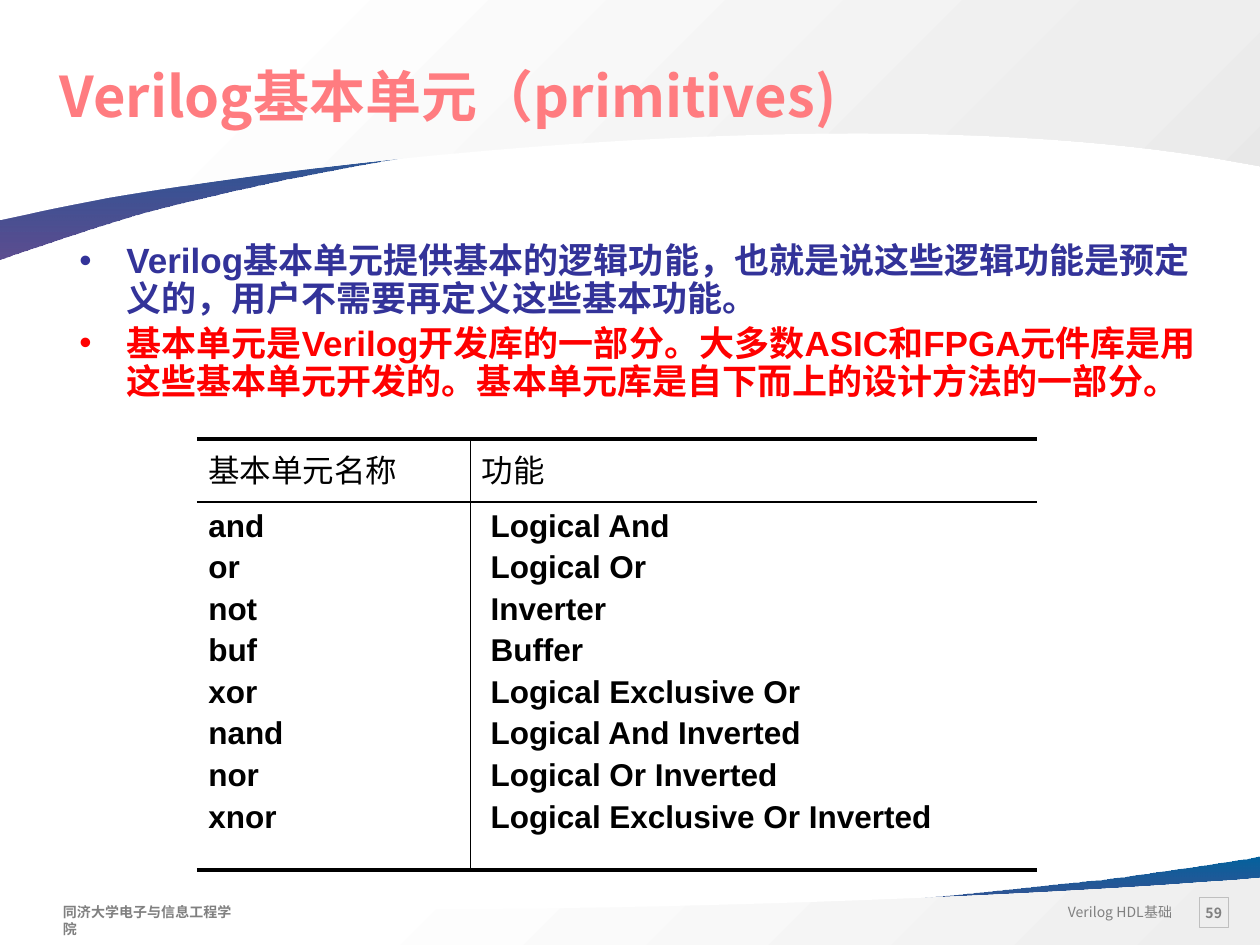
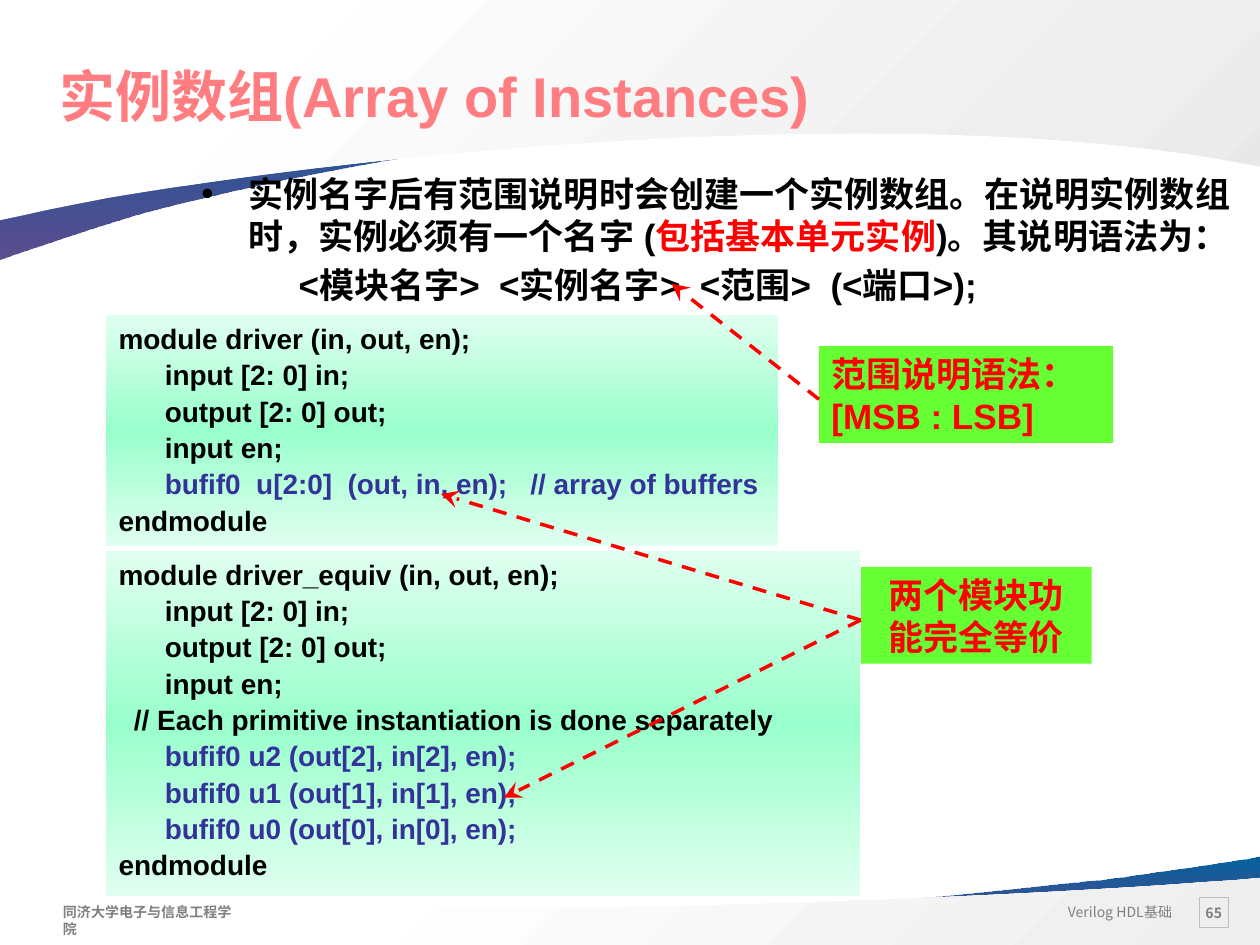
from lxml import etree
from pptx import Presentation, util as u
from pptx.dml.color import RGBColor
from pptx.enum import dml, shapes, text
from pptx.oxml import parse_xml
from pptx.oxml.ns import qn

BLACK = RGBColor(0, 0, 0)
RED = RGBColor(0xFF, 0, 0)
INDIGO = RGBColor(0x33, 0x33, 0x99)
CORAL = RGBColor(0xFF, 0x7C, 0x80)
GREY = RGBColor(0x80, 0x80, 0x80)
FRAME = RGBColor(0xBF, 0xBF, 0xBF)
LIME = RGBColor(0x66, 0xFF, 0x33)
BLUE = RGBColor(0x04, 0x61, 0x9D)
PURPLE = RGBColor(0x34, 0x22, 0x75)
WHITE = RGBColor(0xFF, 0xFF, 0xFF)
PALE = RGBColor(0xEE, 0xEE, 0xEE)
PALER = RGBColor(0xE8, 0xE8, 0xE8)
MINT = RGBColor(0x99, 0xFF, 0xCC)
MIST = RGBColor(0xE0, 0xFF, 0xF0)

NOTO, ARIAL, TIMES = "Noto Sans CJK SC", "Arial", "Times New Roman"
INSET = (0.25, 0.13, 0.25, 0.13)

SWOOSH = ((0, BLUE, 100), (100, PURPLE, 80)), 90
CODE_FILL = ((0, MIST, 100), (50, MINT, 100), (100, MIST, 100)), 90
BANDS = [
    ([(25.4, 17.27), (25.4, 18.92), (0, 18.92), (0, 18.24), (0.03, 18.24)],
     [((5.74, 19.08), (15.62, 18.47), (21.31, 17.83)),
      ((22.45, 17.73), (23.75, 17.53), (25.12, 17.32))], SWOOSH),
    ([(25.4, 17.7), (25.4, 19.05), (0, 19.05), (0, 18.08), (0.84, 18.16)],
     [((7.47, 18.54), (17.35, 18.24), (23.22, 17.86)),
      ((23.72, 17.83), (24.28, 17.78), (24.84, 17.75))],
     (((26, WHITE, 100), (100, PALE, 100)), 45)),
    ([(0, 5.23), (0, 1.68), (25.4, 1.68), (25.4, 3.15), (25.37, 3.12)],
     [((19.66, 1.35), (9.78, 2.62), (4.09, 3.99)),
      ((2.95, 4.24), (1.65, 4.65), (0.28, 5.13))], SWOOSH),
    ([(0, 4.44), (0, 0), (25.4, 0), (25.4, 3.35), (24.56, 3.2)],
     [((17.93, 2.08), (8.05, 3), (2.18, 3.99)),
      ((1.68, 4.09), (1.12, 4.19), (0.56, 4.32))],
     (((17, WHITE, 100), (81, PALE, 100), (100, PALER, 100)), 45)),
]
COURSE = "Verilog HDL基础"
SCHOOL = "同济大学电子与信息工程学院"

PRIMITIVE_NOTES = [
    [("Verilog基本单元提供基本的逻辑功能，也就是说这些逻辑功能是预定义的，用户不需要再定义这些基本功能。", INDIGO)],
    [("基本单元是Verilog开发库的一部分。大多数ASIC和FPGA元件库是用这些基本单元开发的。"
      "基本单元库是自下而上的设计方法的一部分。", RED)],
]
HEADINGS = ["基本单元名称", "功能"]
PRIMITIVES = {
    "and": "Logical And", "or": "Logical Or", "not": "Inverter", "buf": "Buffer",
    "xor": "Logical Exclusive Or", "nand": "Logical And Inverted",
    "nor": "Logical Or Inverted", "xnor": "Logical Exclusive Or Inverted",
}

ARRAY_NOTE = [("实例名字后有范围说明时会创建一个实例数组。在说明实例数组时，实例必须有一个名字 (", BLACK),
              ("包括基本单元实例", RED), (")。其说明语法为：", BLACK)]
SYNTAX = [("<模块名字>  <实例名字>  <范围>  (<端口>);", BLACK)]
PORTS = ["      input [2: 0] in;", "      output [2: 0] out;", "      input en;"]
MODULES = [
    ((2.14, 6.35, 13.54, 4.66),
     ["module driver (in, out, en);", *PORTS,
      "      bufif0  u[2:0]  (out, in, en);   // array of buffers", "endmodule"]),
    ((2.14, 11.1, 15.19, 6.96),
     ["module driver_equiv (in, out, en);", *PORTS,
      "  // Each primitive instantiation is done separately",
      *(f"      bufif0 u{i} (out[{i}], in[{i}], en);" for i in (2, 1, 0)), "endmodule"]),
]
CALLOUTS = [
    ((17.36, 11.43, 4.65, 1.95), ["两个模块功", "能完全等价"], text.PP_ALIGN.CENTER),
    ((16.51, 6.98, 5.93, 1.95), ["范围说明语法：", "[MSB : LSB]"], text.PP_ALIGN.LEFT),
]
ARROWS = [((16.51, 8.05), (13.54, 5.72)), ((17.35, 12.5), (8.89, 9.96)),
          ((17.35, 12.5), (10.16, 16.08))]


def cm(values):
    return [u.Cm(v) for v in values]


def gradient(shape, stops, angle):
    shape.fill.background()
    marks = "".join(
        f'<a:gs pos="{pos * 1000}"><a:srgbClr val="{color}"><a:alpha val="{alpha * 1000}"/>'
        "</a:srgbClr></a:gs>" for pos, color, alpha in stops)
    props = shape._element.spPr
    props.replace(props.find(qn("a:noFill")), parse_xml(
        '<a:gradFill xmlns:a="http://schemas.openxmlformats.org/drawingml/2006/main">'
        f'<a:gsLst>{marks}</a:gsLst><a:lin ang="{angle * 60000}" scaled="0"/></a:gradFill>'))


def bend_last_segments(shape, curves):
    segments = list(shape._element.spPr.iter(qn("a:lnTo")))[-len(curves):]
    for segment, points in zip(segments, curves):
        bezier = etree.Element(qn("a:cubicBezTo"))
        for x, y in points:
            etree.SubElement(bezier, qn("a:pt"), x=str(u.Cm(x) - shape.left),
                             y=str(u.Cm(y) - shape.top))
        segment.getparent().replace(segment, bezier)


def add_band(slide, corners, curves, fill):
    points = [cm(point) for point in corners + [curve[-1] for curve in curves]]
    builder = slide.shapes.build_freeform(*points[0], scale=1.0)
    builder.add_line_segments(points[1:], close=True)
    band = builder.convert_to_shape()
    bend_last_segments(band, curves)
    band.shadow.inherit = False
    band.line.fill.background()
    gradient(band, *fill)


def add_box(slide, place):
    box = slide.shapes.add_shape(shapes.MSO_SHAPE.RECTANGLE, *cm(place))
    box.shadow.inherit = False
    box.fill.background()
    box.line.fill.background()
    return box


def write(frame, lines, size, font=ARIAL, bold=True, align=text.PP_ALIGN.LEFT, before=0,
          spacing=None, inset=INSET, wrap=True, anchor=text.MSO_ANCHOR.TOP):
    if inset:
        (frame.margin_left, frame.margin_top,
         frame.margin_right, frame.margin_bottom) = cm(inset)
        frame.word_wrap = wrap
        frame.vertical_anchor = anchor
    for i, runs in enumerate(lines):
        para = frame.paragraphs[0] if i == 0 else frame.add_paragraph()
        para.alignment = align
        para.line_spacing = spacing
        if i:
            para.space_before = u.Pt(before)
        for words, color in runs:
            run = para.add_run()
            run.text = words
            run.font.size, run.font.bold, run.font.name = u.Pt(size), bold, font
            run.font.color.rgb = color
            east_asian = NOTO if font == TIMES else font
            etree.SubElement(run.font._element, qn("a:ea")).set("typeface", east_asian)


def indent(para, left, hanging=0, bullet=None):
    props = para._p.get_or_add_pPr()
    props.set("marL", str(u.Cm(left)))
    props.set("indent", str(-u.Cm(hanging)))
    if bullet:
        etree.SubElement(props, qn("a:buFont")).set("typeface", ARIAL)
        etree.SubElement(props, qn("a:buChar")).set("char", bullet)


def add_text(slide, place, lines, size, **style):
    frame = slide.shapes.add_textbox(*cm(place)).text_frame
    write(frame, lines, size, **style)
    return frame


def start_slide(deck, title, title_font, number):
    slide = deck.slides.add_slide(deck.slide_layouts[6])
    for band in BANDS:
        add_band(slide, *band)
    add_text(slide, (21.16, 18.08, 2.72, 0.61), [[(COURSE, GREY)]], 8, font=NOTO,
             bold=False, align=text.PP_ALIGN.RIGHT, wrap=False)
    page = add_box(slide, (24.18, 18.09, 0.58, 0.61))
    page.line.color.rgb = FRAME
    page.line.width = u.Pt(0.75)
    write(page.text_frame, [[(number, GREY)]], 8, font=NOTO, inset=(0.2,) * 4, wrap=False,
          align=text.PP_ALIGN.CENTER, anchor=text.MSO_ANCHOR.MIDDLE)
    add_text(slide, (1.27, 18.08, 3.91, 0.58), [[(SCHOOL, GREY)]], 8, font=NOTO,
             inset=(0, 0.13, 0.25, 0.13))
    add_text(slide, (1, 1.04, 22.86, 1.47), [[(title, CORAL)]], 32, font=title_font,
             inset=(0.2, 0.2, 0, 0.2), wrap=False)
    return slide


def edge(cell, **widths):
    props = cell._tc.get_or_add_tcPr()
    for i, side in enumerate(("lnL", "lnR", "lnT", "lnB")):
        width = widths.get(side, 0)
        line = etree.Element(qn(f"a:{side}"), w=str(u.Pt(width)))
        if width:
            fill = etree.SubElement(line, qn("a:solidFill"))
            etree.SubElement(fill, qn("a:srgbClr")).set("val", str(BLACK))
        else:
            etree.SubElement(line, qn("a:noFill"))
        props.insert(i, line)


def add_primitive_table(slide):
    table = slide.shapes.add_table(2, 2, *cm((3.97, 8.85, 16.94, 8.69))).table
    table.first_row = table.horz_banding = False
    for column, width in zip(table.columns, cm((5.51, 11.43))):
        column.width = width
    for row, height in zip(table.rows, cm((1.27, 7.42))):
        row.height = height
    names_and_functions = [list(PRIMITIVES), list(PRIMITIVES.values())]
    for c in range(2):
        for r, lines in enumerate(([HEADINGS[c]], names_and_functions[c])):
            cell = table.cell(r, c)
            cell.fill.background()
            left = 0.41 if r and c else 0.23
            (cell.margin_left, cell.margin_top,
             cell.margin_right, cell.margin_bottom) = cm((left, 0.13, 0.23, 0.13))
            write(cell.text_frame, [[(line, BLACK)] for line in lines], 18,
                  font=ARIAL if r else TIMES, bold=bool(r), before=3.6, inset=None)
            edge(cell, lnL=c, lnR=1 - c, lnT=1 if r else 2.25, lnB=2.25 if r else 1)


def add_arrow(slide, start, end):
    arrow = slide.shapes.add_connector(shapes.MSO_CONNECTOR.STRAIGHT, *cm(start), *cm(end))
    arrow.line.color.rgb = RED
    arrow.line.width = u.Pt(2)
    arrow.line.dash_style = dml.MSO_LINE.DASH
    etree.SubElement(arrow.line._get_or_add_ln(), qn("a:tailEnd"),
                     type="stealth", w="lg", len="lg")
    etree.SubElement(arrow._element.spPr, qn("a:effectLst"))


def build_primitives(deck):
    slide = start_slide(deck, "Verilog基本单元（primitives)", NOTO, "59")
    notes = add_text(slide, (1.35, 4.78, 23.06, 3.61), PRIMITIVE_NOTES, 20, before=4, spacing=0.9)
    for para in notes.paragraphs:
        indent(para, 0.95, 0.95, "•")
    add_primitive_table(slide)


def build_instance_array(deck):
    slide = start_slide(deck, "实例数组(Array of Instances)", ARIAL, "65")
    note, syntax = add_text(slide, (3.81, 3.35, 21.59, 3.18), [ARRAY_NOTE, SYNTAX], 20,
                            before=4).paragraphs
    indent(note, 0.95, 0.95, "•")
    indent(syntax, 1.96)
    for place, code in MODULES:
        lines = [[(line, INDIGO if "bufif0" in line else BLACK)] for line in code]
        listing = add_box(slide, place)
        gradient(listing, *CODE_FILL)
        write(listing.text_frame, lines, 16, before=1.6)
    for place, lines, align in CALLOUTS:
        callout = add_box(slide, place)
        callout.fill.solid()
        callout.fill.fore_color.rgb = LIME
        write(callout.text_frame, [[(line, RED)] for line in lines], 20, align=align)
    for start, end in ARROWS:
        add_arrow(slide, start, end)


def main():
    deck = Presentation()
    deck.slide_width, deck.slide_height = cm((25.4, 19.05))
    build_primitives(deck)
    build_instance_array(deck)
    deck.save("out.pptx")


if __name__ == "__main__":
    main()
